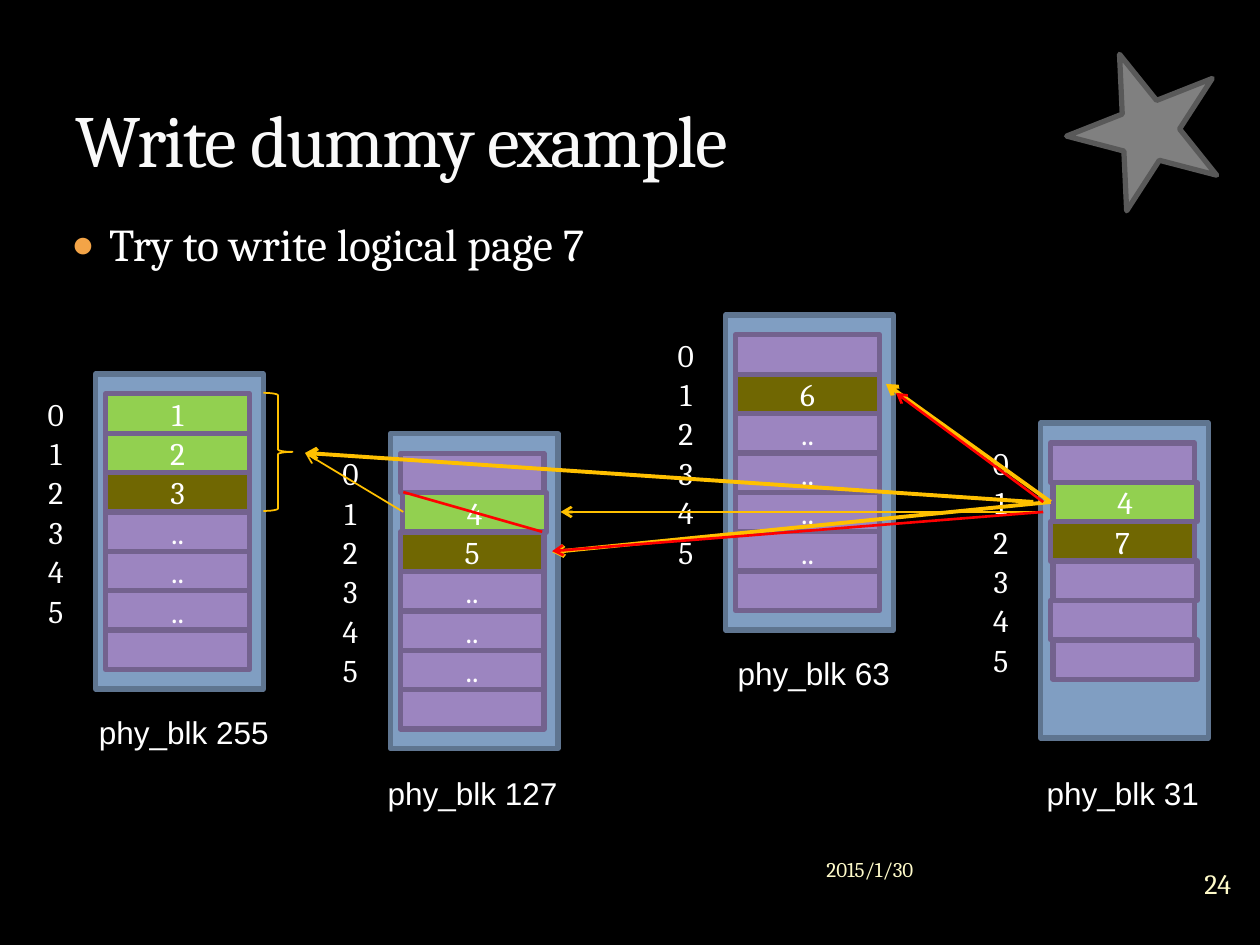
from lxml import etree
from pptx import Presentation
from pptx import util as u
from pptx.dml.color import RGBColor
from pptx.enum import shapes, text
from pptx.oxml.ns import qn

COLORS = {
    "black": "000000", "white": "FFFFFF", "title": "F9F9F9", "cream": "FEFAC9",
    "bullet": "F3A447", "star": "808080", "star_edge": "595959",
    "block": "809EC2", "block_edge": "5F7590",
    "purple": "9C85C0", "cell_edge": "73628E",
    "green": "92D050", "olive": "706702", "gold": "FFC000", "red": "FF0000",
}
ROW_HEIGHT = 0.794
CELL_WIDTH = 2.9
SHIFT = 0.05  # sideways offset of rewritten cells

# Each row: text, colour, sideways offset
EMPTY = ("", "purple", 0)
DOTS = ("..", "purple", 0)
SHIFTED = ("", "purple", SHIFT)

# Each block: left, top, caption, caption left, caption top, rows
BLOCKS = [
    (1.93, 7.54, "phy_blk 255", 1.52, 14.25,
     [("1", "green", 0), ("2", "green", 0), ("3", "olive", 0),
      DOTS, DOTS, DOTS, EMPTY]),
    (7.87, 8.74, "phy_blk 127", 7.34, 15.47,
     [EMPTY, ("4", "green", SHIFT), ("5", "olive", 0),
      DOTS, DOTS, DOTS, EMPTY]),
    (14.63, 6.35, "phy_blk 63", 14.22, 13.06,
     [EMPTY, ("6", "olive", 0), DOTS, DOTS, DOTS, DOTS, EMPTY]),
    (20.98, 8.53, "phy_blk 31", 20.45, 15.47,
     [EMPTY, ("4", "green", SHIFT), ("7", "olive", 0),
      SHIFTED, EMPTY, SHIFTED]),
]

# Each link: start, end, colour, width, arrowhead
LINKS = [
    ((8.13, 10.32), (6.15, 9.13), "gold", 1, True),
    ((21.18, 10.12), (17.86, 7.74), "gold", 2.25, True),
    ((20.83, 10.12), (6.15, 9.13), "gold", 2.25, True),
    ((21.18, 10.12), (11.13, 11.13), "gold", 2.25, True),
    ((8.13, 9.92), (10.93, 10.72), "red", 1.5, False),
    ((21.03, 10.32), (11.3, 10.32), "gold", 1.5, True),
    ((21.03, 10.32), (11.13, 11.11), "red", 1.5, True),
    ((21.03, 10.12), (18.06, 7.92), "red", 1.5, True),
]


def rgb(name):
    """Return the named colour."""
    return RGBColor.from_string(COLORS[name])


def write(box, words, size=18, font="Cambria", color="white",
          align=text.PP_ALIGN.LEFT, anchor=text.MSO_ANCHOR.TOP):
    """Put one formatted paragraph in a shape and return it."""
    frame = box.text_frame
    frame.word_wrap = True
    frame.vertical_anchor = anchor
    para = frame.paragraphs[0]
    para.alignment = align
    span = para.add_run()
    span.text = words
    span.font.size = u.Pt(size)
    span.font.name = font
    span.font.color.rgb = rgb(color)
    return para


def add_text(page, left, top, width, height, words, **style):
    """Add a text box holding one paragraph and return the box."""
    box = page.shapes.add_textbox(
        u.Cm(left), u.Cm(top), u.Cm(width), u.Cm(height))
    write(box, words, **style)
    return box


def add_figure(page, kind, left, top, width, height, fill, edge,
               weight=3, words=""):
    """Add a preset shape with optional centred text."""
    box = page.shapes.add_shape(
        kind, u.Cm(left), u.Cm(top), u.Cm(width), u.Cm(height))
    box.shadow.inherit = False
    if fill:
        box.fill.solid()
        box.fill.fore_color.rgb = rgb(fill)
    else:
        box.fill.background()
    box.line.color.rgb = rgb(edge)
    box.line.width = u.Pt(weight)
    etree.SubElement(box.line._get_or_add_ln(), qn("a:round"))
    if words:
        write(box, words, align=text.PP_ALIGN.CENTER,
              anchor=text.MSO_ANCHOR.MIDDLE)
    return box


def add_link(page, start, end, color, weight, arrow):
    """Add a straight line, with an arrowhead at its end if wanted."""
    link = page.shapes.add_connector(
        shapes.MSO_CONNECTOR.STRAIGHT, *(u.Cm(n) for n in start + end))
    link.line.color.rgb = rgb(color)
    link.line.width = u.Pt(weight)
    if arrow:
        etree.SubElement(link.line._get_or_add_ln(), qn("a:tailEnd"),
                         type="arrow")
    etree.SubElement(link._element.spPr, qn("a:effectLst"))


def add_block(page, left, top, caption, caption_left, caption_top, rows):
    """Add a physical block with its cells, row numbers and caption."""
    rect = shapes.MSO_SHAPE.RECTANGLE
    add_figure(page, rect, left, top, 3.38, 6.35, "block", "block_edge")
    for index, (words, color, offset) in enumerate(rows):
        row_top = top + 0.4 + index * ROW_HEIGHT
        add_figure(page, rect, left + 0.2 + offset, row_top, CELL_WIDTH,
                   ROW_HEIGHT, color, "cell_edge", words=words)
        if index < 6:
            add_figure(page, rect, left - 1.4, row_top, 1.19, ROW_HEIGHT,
                       "black", "black", words=str(index))
    add_text(page, caption_left, caption_top, 4.37, 1.02, caption,
             font="Arial", align=text.PP_ALIGN.CENTER)


def add_title(page, words):
    """Place and format the title placeholder."""
    title = page.shapes.title
    title.left, title.top = u.Cm(1.27), u.Cm(0.43)
    title.width, title.height = u.Cm(22.86), u.Cm(3.38)
    para = write(title, words, size=42, color="title",
                 anchor=text.MSO_ANCHOR.BOTTOM)
    title.text_frame.auto_size = text.MSO_AUTO_SIZE.NONE
    para.runs[0].font._element.set("spc", "-100")


def add_bullet(page, words):
    """Add the bulleted statement below the title."""
    box = add_text(page, 1.19, 4.24, 22.86, 12.7, words, size=26)
    para = box.text_frame.paragraphs[0]
    para.space_before = u.Pt(6)
    props = para._p.get_or_add_pPr()
    props.set("marL", str(u.Cm(0.76)))
    props.set("indent", str(-u.Cm(0.76)))
    color = etree.SubElement(props, qn("a:buClr"))
    etree.SubElement(color, qn("a:srgbClr"), val=COLORS["bullet"])
    etree.SubElement(props, qn("a:buSzPct"), val="85000")
    etree.SubElement(props, qn("a:buFont"), typeface="Arial")
    etree.SubElement(props, qn("a:buChar"), char="●")


def add_footer(page):
    """Add the date and the page number."""
    middle = text.MSO_ANCHOR.MIDDLE
    add_text(page, 16.41, 16.99, 7.19, 1.07, "2015/1/30", size=12,
             color="cream", anchor=middle)
    number = add_text(page, 23.7, 17.17, 1.7, 1.27, "24", size=16,
                      color="cream", align=text.PP_ALIGN.CENTER, anchor=middle)
    frame = number.text_frame
    frame.margin_left = frame.margin_right = 0
    frame.margin_top = frame.margin_bottom = 0


def main():
    """Build the slide and save it."""
    deck = Presentation()
    deck.slide_width, deck.slide_height = u.Cm(25.4), u.Cm(19.05)
    page = deck.slides.add_slide(deck.slide_layouts[5])
    page.background.fill.solid()
    page.background.fill.fore_color.rgb = rgb("black")

    star = add_figure(page, shapes.MSO_SHAPE.STAR_5_POINT,
                      21.69, 1.24, 3.18, 2.97, "star", "star_edge")
    star.rotation = 122.9
    add_title(page, "Write dummy example")
    add_bullet(page, "Try to write logical page 7")
    add_footer(page)
    for block in BLOCKS:
        add_block(page, *block)
    add_figure(page, shapes.MSO_SHAPE.RIGHT_BRACE, 5.31, 7.92, 0.59,
               3 * ROW_HEIGHT, None, "gold", weight=1)
    for link in LINKS:
        add_link(page, *link)
    deck.save("out.pptx")


main()
